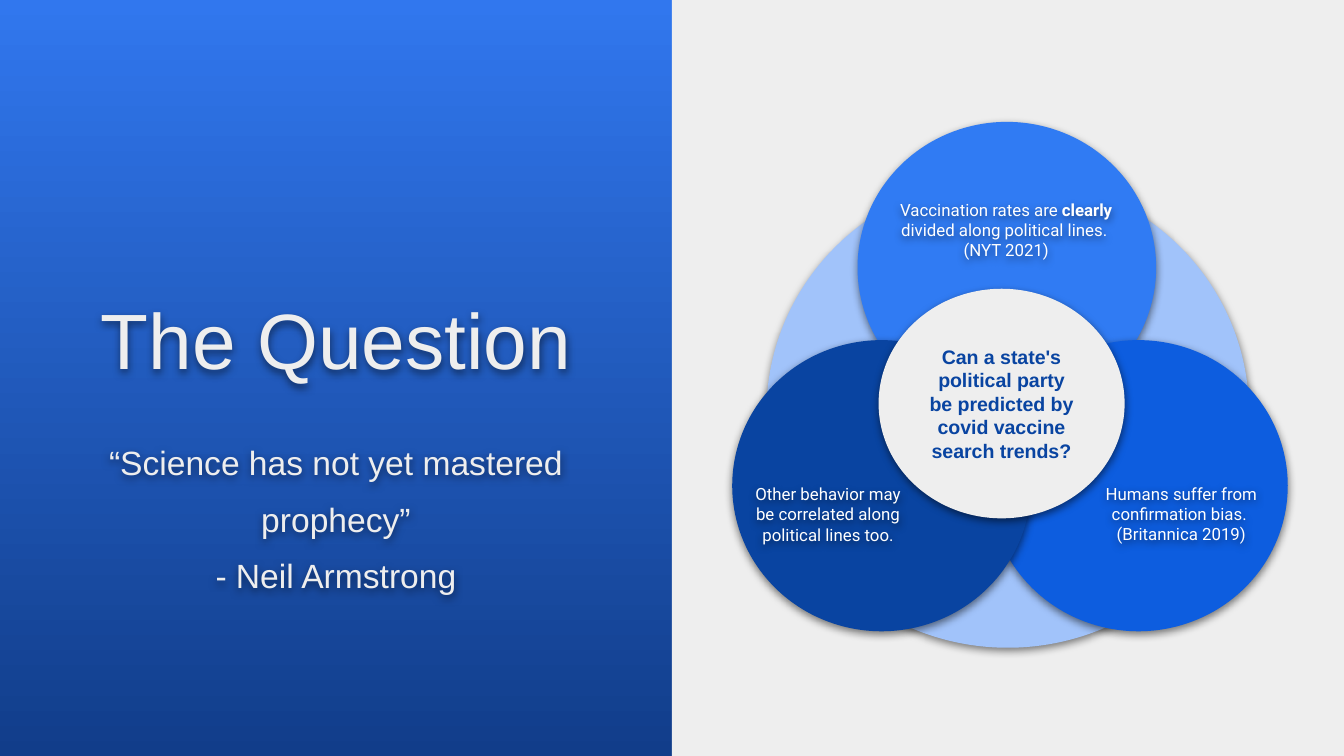
import dataclasses

import lxml.etree
import pptx
import pptx.dml.color
import pptx.enum.dml
import pptx.enum.shapes
import pptx.enum.text
import pptx.oxml.ns
import pptx.util

Pt = pptx.util.Pt


@dataclasses.dataclass(frozen=True)
class Theme:
    """Colours, fonts and type sizes of the slide."""
    pale: str = "EEEEEE"
    white: str = "FFFFFF"
    sky: str = "3177EE"
    night: str = "113D8A"
    mist: str = "A1C3FA"
    top: str = "307BF3"
    right: str = "0D5DDF"
    left: str = "0944A1"
    shade: str = "000000"
    main: str = "Arial"
    note: str = "Roboto"
    title: float = 42
    quote: float = 18
    core: float = 10.5
    label: float = 9


THEME = Theme()


def rgb(code):
    """Turn a hex code into a colour."""
    return pptx.dml.color.RGBColor.from_string(code)


def apply(item, values):
    """Set attributes from a dict of values."""
    for name, value in values.items():
        setattr(item, name, value)


def cast(shape):
    """Give a shape a soft shadow straight below it."""
    qn = pptx.oxml.ns.qn
    shape.shadow.inherit = False
    effect = shape._element.spPr.find(qn("a:effectLst"))
    outer = lxml.etree.SubElement(
        effect, qn("a:outerShdw"), blurRad=str(Pt(4.5)), dist=str(Pt(1.5)),
        dir="5400000", algn="bl", rotWithShape="0")
    color = lxml.etree.SubElement(outer, qn("a:srgbClr"), val=THEME.shade)
    lxml.etree.SubElement(color, qn("a:alpha"), val="50000")


def write(shape, paras, font, size, color, anchor="MIDDLE", bold=False, space=1.0):
    """Fill a shape with centred paragraphs of (text, bold) runs."""
    frame = shape.text_frame
    inset = Pt(7.2)
    apply(frame, {
        "word_wrap": True,
        "vertical_anchor": pptx.enum.text.MSO_ANCHOR[anchor],
        "margin_left": inset, "margin_right": inset,
        "margin_top": inset, "margin_bottom": inset,
    })
    for count, runs in enumerate(paras):
        para = frame.add_paragraph() if count else frame.paragraphs[0]
        apply(para, {"alignment": pptx.enum.text.PP_ALIGN.CENTER, "line_spacing": space})
        for text, strong in runs:
            run = para.add_run()
            run.text = text
            apply(run.font, {"name": font, "size": Pt(size), "bold": bold or strong})
            run.font.color.rgb = rgb(color)


def solid(slide, kind, box, color):
    """Add a plain filled shape without an outline."""
    shape = slide.shapes.add_shape(pptx.enum.shapes.MSO_SHAPE[kind], *map(Pt, box))
    shape.fill.solid()
    shape.fill.fore_color.rgb = rgb(color)
    shape.line.fill.background()
    shape.shadow.inherit = False
    return shape


def disc(slide, box, color):
    """Add an oval with a shadow."""
    shape = solid(slide, "OVAL", box, color)
    cast(shape)
    return shape


def words(slide, box, paras, *style, **more):
    """Add a text box whose letters cast a shadow."""
    shape = slide.shapes.add_textbox(*map(Pt, box))
    write(shape, paras, *style, **more)
    cast(shape)


def paint(slide):
    """Set the vertical gradient behind the slide."""
    fill = slide.background.fill
    fill.gradient()
    fill.gradient_angle = 270
    for stop, color in zip(fill.gradient_stops, (THEME.sky, THEME.night)):
        stop.color.rgb = rgb(color)


def intro(slide):
    """Add the title and the quotation on the left half."""
    left, width = 21, 318
    words(slide, (left, 97.2, width, 116.6), [[("The Question", False)]],
          THEME.main, THEME.title, THEME.pale, anchor="BOTTOM")
    words(slide, (left, 221, width, 97.2),
          [[("“Science has not yet mastered prophecy”", False)],
           [("- Neil Armstrong", False)]],
          THEME.main, THEME.quote, THEME.pale, anchor="TOP", space=1.4)


def venn(slide):
    """Add the ring, three outer discs, their labels and the core."""
    wide, high, low = 160, 156, 182.2
    style = THEME.note, THEME.label, THEME.white
    disc(slide, (410.6, 94.3, 258.5, 252.7), THEME.mist)
    for left, top, color in ((459.4, 65.3, THEME.top),
                             (529.9, low, THEME.right),
                             (392.3, low, THEME.left)):
        disc(slide, (left, top, wide, high), color)
    labels = (
        ((473, 93.6, 132, 59),
         [[("Vaccination rates are ", False), ("clearly ", True),
           ("divided along political lines. ", False)],
          [("(NYT 2021)", False)]]),
        ((581, 244.1, 103.7, 62),
         [[("Humans suffer from confirmation bias. ", False)],
          [("(Britannica 2019)", False)]]),
        ((391.7, 237, 103.7, 77),
         [[("Other behavior may be correlated along political lines too.", False)]]),
    )
    for box, paras in labels:
        words(slide, box, paras, *style)
    core = disc(slide, (470.7, 154.7, 131.8, 123), THEME.pale)
    write(core, [[("Can a state's political party be predicted by "
                   "covid vaccine search trends?", False)]],
          THEME.main, THEME.core, THEME.left, bold=True)


def main():
    """Build and save the slide."""
    deck = pptx.Presentation()
    apply(deck, {"slide_width": Pt(720), "slide_height": Pt(405)})
    slide = deck.slides.add_slide(deck.slide_layouts[6])
    paint(slide)
    solid(slide, "RECTANGLE", (360, 0, 360, 405), THEME.pale)
    intro(slide)
    venn(slide)
    deck.save("out.pptx")


if __name__ == "__main__":
    main()
